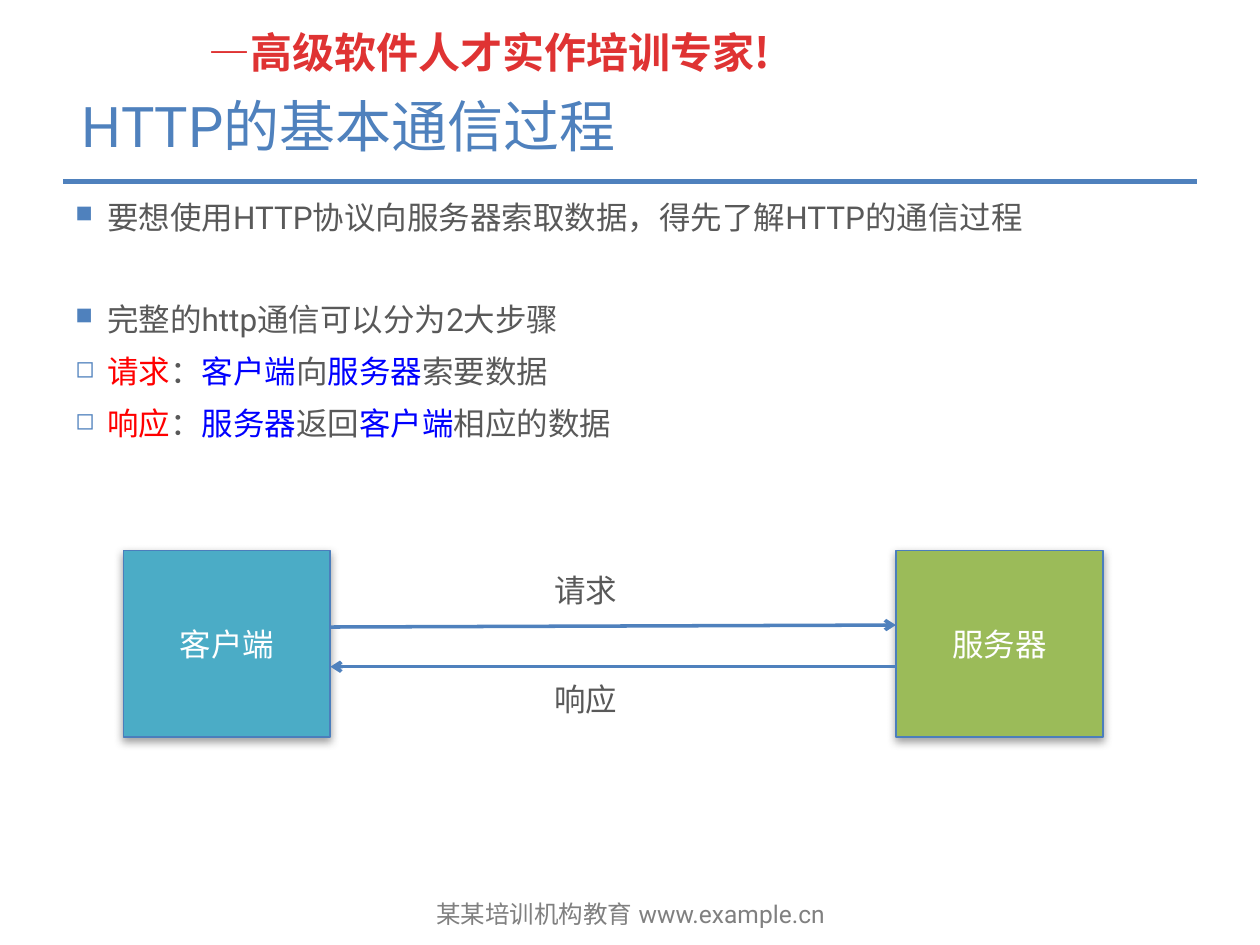
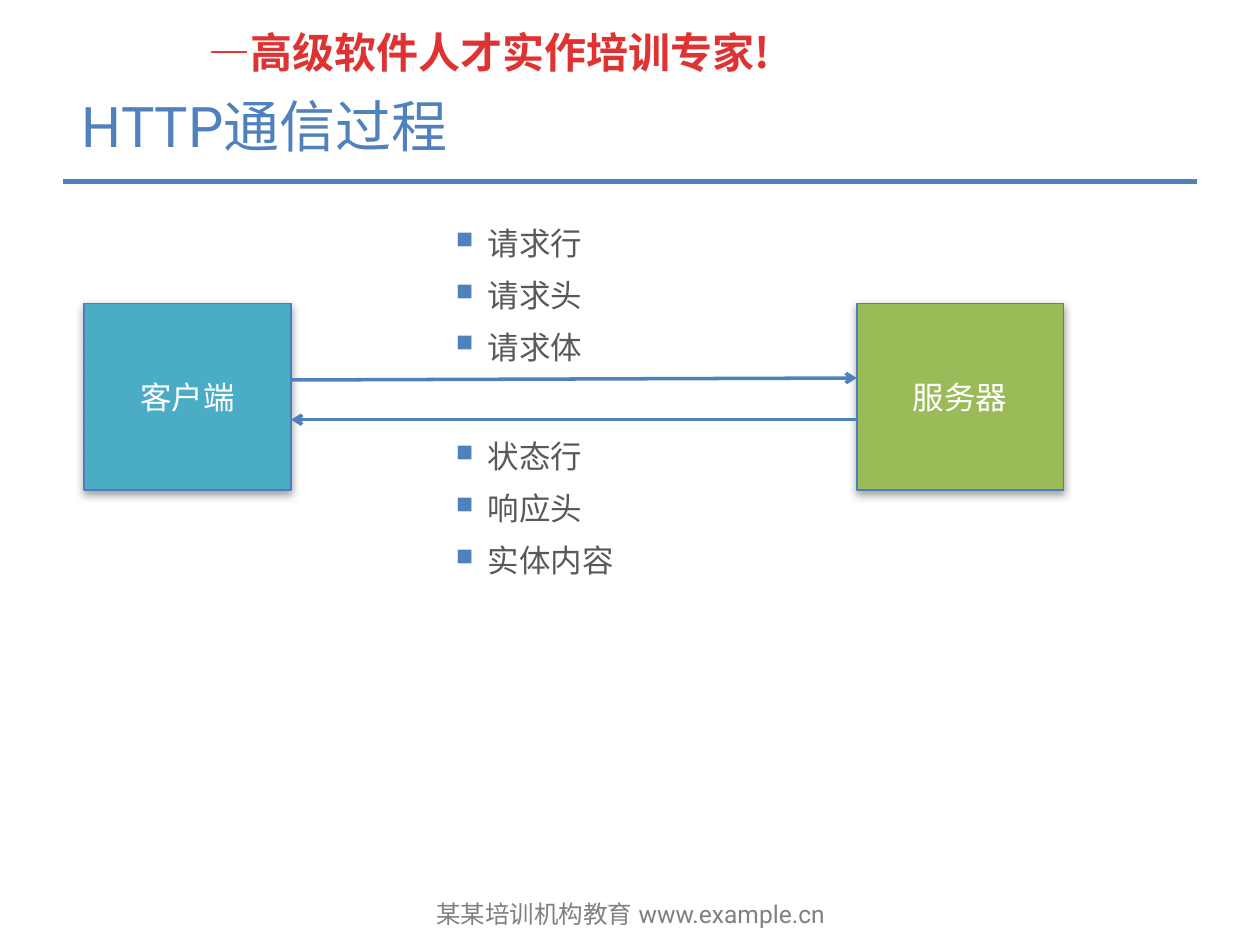
from lxml import etree
from pptx import Presentation
from pptx.dml.color import RGBColor
from pptx.enum.shapes import MSO_CONNECTOR, MSO_SHAPE
from pptx.enum.text import MSO_ANCHOR, PP_ALIGN
from pptx.oxml.ns import qn
from pptx.util import Cm, Pt

LINE, RECT = MSO_CONNECTOR.STRAIGHT, MSO_SHAPE.RECTANGLE
TOP, MID = MSO_ANCHOR.TOP, MSO_ANCHOR.MIDDLE
LEFT, CENTER = PP_ALIGN.LEFT, PP_ALIGN.CENTER

HUES = {
    "blue": "4F81BD", "edge": "4B7EBC", "teal": "4BACC6", "green": "9BBB59",
    "red": "DF3333", "gray": "808080", "text": "595959", "white": "FFFFFF",
    "key": "FF0000", "role": "0000FF",
}
SANS, SERIF, CJK = "Roboto", "TeX Gyre Bonum", "Noto Sans CJK SC"
FULL, OPEN = "■", "◻"
GAP = 8            # points above a paragraph
SIDE, TALL = 4.17, 3.76
SPAN = 15.57       # from the client's left edge to the server's


def rgb(name):
    return RGBColor.from_string(HUES[name])


def node(parent, tag, **attrs):
    return etree.SubElement(parent, qn(tag), attrs)


def write(para, text, size=18, font=SANS, hue="text", bold=False,
          align=LEFT, before=0, hang=0, mark=None):
    """Fill a paragraph with a string or a list of (string, hue) runs."""
    para.alignment = align
    para.space_before = Pt(before)
    props = para._p.get_or_add_pPr()
    if hang:
        props.set("marL", str(Cm(hang)))
        props.set("indent", str(-Cm(hang)))
    if mark:
        node(node(props, "a:buClr"), "a:srgbClr", val=HUES["blue"])
        node(props, "a:buSzPct", val="75000")
        node(props, "a:buChar", char=mark)
    for part, tone in [(text, hue)] if isinstance(text, str) else text:
        run = para.add_run()
        run.text = part
        run.font.size, run.font.bold = Pt(size), bold
        run.font.name = font
        run.font.color.rgb = rgb(tone)
        node(run._r.get_or_add_rPr(), "a:ea", typeface=font)


class Deck:
    def __init__(self):
        self.prs = Presentation()
        self.prs.slide_width, self.prs.slide_height = Cm(25.4), Cm(19.05)
        self.slide = None

    def page(self, title):
        """Start a slide with the shared header, footer, rule and title."""
        self.slide = self.prs.slides.add_slide(self.prs.slide_layouts[6])
        self.text(3.96, 0.41, 13.39, 1.04, "—高级软件人才实作培训专家!",
                  size=24, font=CJK, hue="red", bold=True, hang=0.97)
        self.text(8.33, 17.78, 8.76, 1.27, "某某培训机构教育 www.example.cn",
                  anchor=MID, size=14, hue="gray", align=CENTER)
        self.line(1.27, 3.66, 24.13, 3.66, 3)
        self.text(1.4, 1.73, 22.58, 2.29, title, size=32, hue="blue")

    def frame(self, x, y, w, h, anchor=TOP):
        box = self.slide.shapes.add_textbox(Cm(x), Cm(y), Cm(w), Cm(h))
        box.text_frame.word_wrap = True
        box.text_frame.vertical_anchor = anchor
        return box.text_frame

    def text(self, x, y, w, h, text, anchor=TOP, **fmt):
        write(self.frame(x, y, w, h, anchor).paragraphs[0], text, **fmt)

    def list(self, x, y, w, h, items):
        """Add a bullet list of (text, mark, space before) items."""
        frame = self.frame(x, y, w, h)
        for i, (text, mark, before) in enumerate(items):
            para = frame.add_paragraph() if i else frame.paragraphs[0]
            write(para, text, mark=mark, before=before, hang=0.64)

    def line(self, x1, y1, x2, y2, width, arrow=False):
        con = self.slide.shapes.add_connector(
            LINE, Cm(x1), Cm(y1), Cm(x2), Cm(y2))
        con.line.color.rgb, con.line.width = rgb("blue"), Pt(width)
        props = con._element.spPr
        if arrow:
            node(props.find(qn("a:ln")), "a:tailEnd", type="arrow")
        node(props, "a:effectLst")

    def box(self, x, y, text, hue):
        box = self.slide.shapes.add_shape(
            RECT, Cm(x), Cm(y), Cm(SIDE), Cm(TALL))
        box.fill.solid()
        box.fill.fore_color.rgb = rgb(hue)
        box.line.color.rgb, box.line.width = rgb("edge"), Pt(1)
        box.shadow.inherit = False
        shade = node(box._element.spPr.find(qn("a:effectLst")),
                     "a:outerShdw", blurRad=str(Pt(5)), dist=str(Pt(2)),
                     dir="5400000", rotWithShape="0")
        tone = node(shade, "a:srgbClr", val=HUES["gray"])
        node(tone, "a:alpha", val="75000")
        box.text_frame.vertical_anchor = MID
        write(box.text_frame.paragraphs[0], text,
              font=SERIF, hue="white", align=CENTER)

    def link(self, x, y):
        """Draw client and server with an arrow each way."""
        self.box(x, y, "客户端", "teal")
        self.box(x + SPAN, y, "服务器", "green")
        near, far = x + SIDE, x + SPAN
        self.line(near, y + 1.54, far, y + 1.5, 2, arrow=True)
        self.line(far, y + 2.34, near, y + 2.34, 2, arrow=True)


def main():
    deck = Deck()

    # Slide 1: the two steps
    deck.page("HTTP的基本通信过程")
    ask = [("请求", "key"), ("：", "text"), ("客户端", "role"),
           ("向", "text"), ("服务器", "role"), ("索要数据", "text")]
    reply = [("响应", "key"), ("：", "text"), ("服务器", "role"),
             ("返回", "text"), ("客户端", "role"), ("相应的数据", "text")]
    deck.list(1.27, 3.86, 22.86, 5.69, [
        ("要想使用HTTP协议向服务器索取数据，得先了解HTTP的通信过程", FULL, GAP),
        ("完整的http通信可以分为2大步骤", FULL, 37),
        (ask, OPEN, GAP),
        (reply, OPEN, GAP),
    ])
    deck.link(2.49, 11.1)
    for y, word in ((11.38, "请求"), (13.59, "响应")):
        deck.text(10.77, y, 2.08, 1.09, word, align=CENTER, before=GAP)

    # Slide 2: the parts of each message
    deck.page("HTTP通信过程")
    deck.link(1.7, 6.12)
    for y, words in ((4.39, ("请求行", "请求头", "请求体")),
                     (8.69, ("状态行", "响应头", "实体内容"))):
        deck.list(8.94, y, 5.36, 3.1, [(word, FULL, GAP) for word in words])

    deck.prs.save("out.pptx")


if __name__ == "__main__":
    main()
